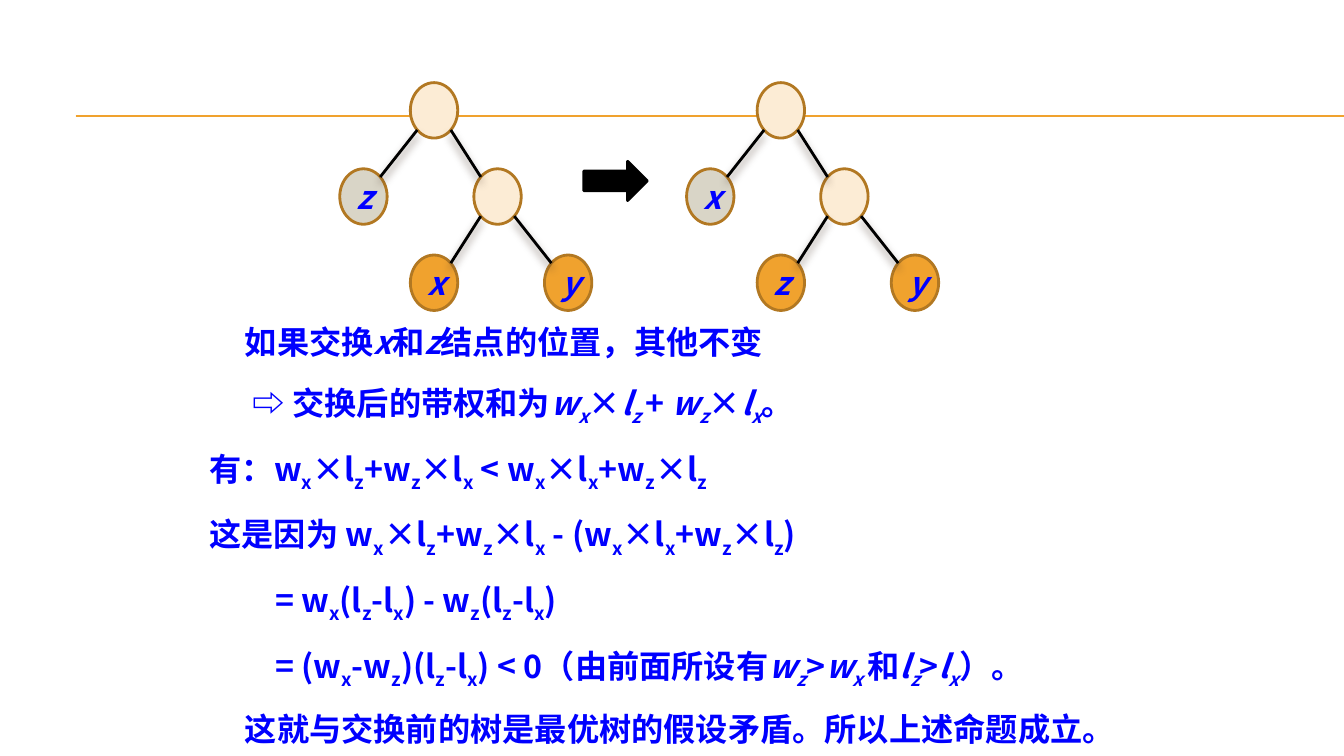
from dataclasses import dataclass
from math import sqrt

from lxml import etree
from pptx import Presentation
from pptx.dml.color import RGBColor
from pptx.enum.shapes import MSO_CONNECTOR, MSO_SHAPE
from pptx.enum.text import MSO_ANCHOR, MSO_AUTO_SIZE, PP_ALIGN
from pptx.oxml.ns import qn
from pptx.util import Inches, Pt

STRAIGHT = MSO_CONNECTOR.STRAIGHT
ELLIPSE = MSO_SHAPE.OVAL
RIGHT_ARROW = MSO_SHAPE.RIGHT_ARROW
MIDDLE = MSO_ANCHOR.MIDDLE
CENTER = PP_ALIGN.CENTER
GROW = MSO_AUTO_SIZE.SHAPE_TO_FIT_TEXT

COLORS = {
    "rule": "F0A22E",
    "text": "0000FF",
    "inner": "FCECD5",
    "shallow": "D9D5C7",
    "deep": "F0A22E",
    "outline": "B27822",
    "black": "000000",
    "shadow": "4E3B30",
}
FONT = "Noto Sans CJK SC"
NODE_W, NODE_H = 0.47, 0.55
TREE_TOP, LEVEL_STEP = 0.82, 0.855


@dataclass(frozen=True)
class Node:
    x: float
    level: int
    fill: str
    label: str = ""

    @property
    def top(self) -> float:
        return TREE_TOP + self.level * LEVEL_STEP


@dataclass(frozen=True)
class ProofLine:
    indent: float
    markup: str


EDGES = ((0, 1), (0, 2), (2, 3), (2, 4))

PROOF = (
    ProofLine(0.64, "如果交换*x*和*z*结点的位置，其他不变"),
    ProofLine(0.72, "⇨ 交换后的带权和为*w_x_*×*l_z _*+ *w_z_*×*l_x_*。"),
    ProofLine(0.29, "有：w_x_×l_z_+w_z_×l_x_ < w_x_×l_x_+w_z_×l_z_"),
    ProofLine(0.29, "这是因为 w_x_×l_z_+w_z_×l_x_ - (w_x_×l_x_+w_z_×l_z_)"),
    ProofLine(0.94, "= w_x_(l_z_-l_x_) - w_z_(l_z_-l_x_)"),
    ProofLine(0.94, "= (w_x_-w_z_)(l_z_-l_x_) < 0（由前面所设有"
                    "*w_z_*>*w_x _*和*l_z_*>*l_x_*）。"),
    ProofLine(0.64, "这就与交换前的树是最优树的假设矛盾。所以上述命题成立。"),
)


def color(key: str) -> RGBColor:
    return RGBColor.from_string(COLORS[key])


def style_paragraph(paragraph) -> None:
    font = paragraph.font
    font.size = Pt(23)
    font.bold = True
    font.color.rgb = color("text")
    font.name = FONT
    defaults = paragraph._p.pPr.find(qn("a:defRPr"))
    latin = defaults.find(qn("a:latin"))
    east_asian = etree.Element(qn("a:ea"), typeface=FONT)
    latin.addnext(east_asian)


def draw_line(shapes, start: tuple, end: tuple, key: str, width: float,
              shadow: bool = False) -> None:
    line = shapes.add_connector(STRAIGHT, *(Inches(v) for v in start + end))
    line.line.color.rgb = color(key)
    line.line.width = Pt(width)
    effects = etree.SubElement(line._element.spPr, qn("a:effectLst"))
    if shadow:
        outer = etree.SubElement(
            effects, qn("a:outerShdw"), blurRad=str(Pt(6)), dist=str(Pt(4)),
            dir="5400000", rotWithShape="0")
        tint = etree.SubElement(outer, qn("a:srgbClr"), val=COLORS["shadow"])
        etree.SubElement(tint, qn("a:alpha"), val="60000")


def draw_solid(shapes, preset, box: tuple, fill: str, outline: str):
    solid = shapes.add_shape(preset, *(Inches(v) for v in box))
    solid.shadow.inherit = False
    solid.fill.solid()
    solid.fill.fore_color.rgb = color(fill)
    solid.line.color.rgb = color(outline)
    solid.line.width = Pt(2)
    return solid


def draw_node(shapes, node: Node) -> None:
    circle = draw_solid(shapes, ELLIPSE, (node.x, node.top, NODE_W, NODE_H),
                        node.fill, "outline")
    if node.label:
        circle.text_frame.vertical_anchor = MIDDLE
        label = circle.text_frame.paragraphs[0]
        label.text = node.label
        label.alignment = CENTER
        style_paragraph(label)
        label.font.italic = True


def draw_edge(shapes, parent: Node, child: Node) -> None:
    side = 1 if child.x > parent.x else -1
    dx, dy = side * NODE_W / 2 / sqrt(2), NODE_H / 2 / sqrt(2)
    start = (parent.x + NODE_W / 2 + dx, parent.top + NODE_H / 2 + dy)
    end = (child.x + NODE_W / 2 - dx, child.top + NODE_H / 2 - dy)
    draw_line(shapes, start, end, "black", 2, shadow=True)


def draw_tree(shapes, left: float, labels: str) -> None:
    shallow, deep_left, deep_right = labels
    nodes = (
        Node(left + 0.7, 0, "inner"),
        Node(left, 1, "shallow", shallow),
        Node(left + 1.33, 1, "inner"),
        Node(left + 0.7, 2, "deep", deep_left),
        Node(left + 2.03, 2, "deep", deep_right),
    )
    for node in nodes:
        draw_node(shapes, node)
    for parent, child in EDGES:
        draw_edge(shapes, nodes[parent], nodes[child])


def write_markup(paragraph, markup: str) -> None:
    italic = False
    for i, styled in enumerate(markup.split("*")):
        italic = i % 2 == 1
        for j, piece in enumerate(styled.split("_")):
            if not piece:
                continue
            run = paragraph.add_run()
            run.text = piece
            if italic:
                run.font.italic = True
            if j % 2 == 1:
                run._r.get_or_add_rPr().set("baseline", "-25000")


def draw_proof(shapes) -> None:
    box = shapes.add_textbox(Inches(1.69), Inches(2.96), Inches(9.77), Inches(4.16))
    frame = box.text_frame
    frame.word_wrap = True
    frame.auto_size = GROW
    for i, line in enumerate(PROOF):
        paragraph = frame.add_paragraph() if i else frame.paragraphs[0]
        paragraph.line_spacing = 1.5
        properties = paragraph._p.get_or_add_pPr()
        properties.set("marL", str(Inches(line.indent)))
        properties.set("indent", "0")
        style_paragraph(paragraph)
        write_markup(paragraph, line.markup)


def main() -> None:
    prs = Presentation()
    prs.slide_width, prs.slide_height = Inches(13.33), Inches(7.5)
    slide = prs.slides.add_slide(prs.slide_layouts[6])
    for y in (1.15, 1.16):
        draw_line(slide.shapes, (0.75, y), (13.33, y), "rule", 0.75)
    draw_proof(slide.shapes)
    before = slide.shapes.add_group_shape()
    draw_tree(before.shapes, 3.37, "zxy")
    after = slide.shapes.add_group_shape()
    draw_tree(after.shapes, 6.81, "xzy")
    draw_solid(after.shapes, RIGHT_ARROW, (5.79, 1.6, 0.63, 0.39), "black", "black")
    prs.save("out.pptx")


if __name__ == "__main__":
    main()
